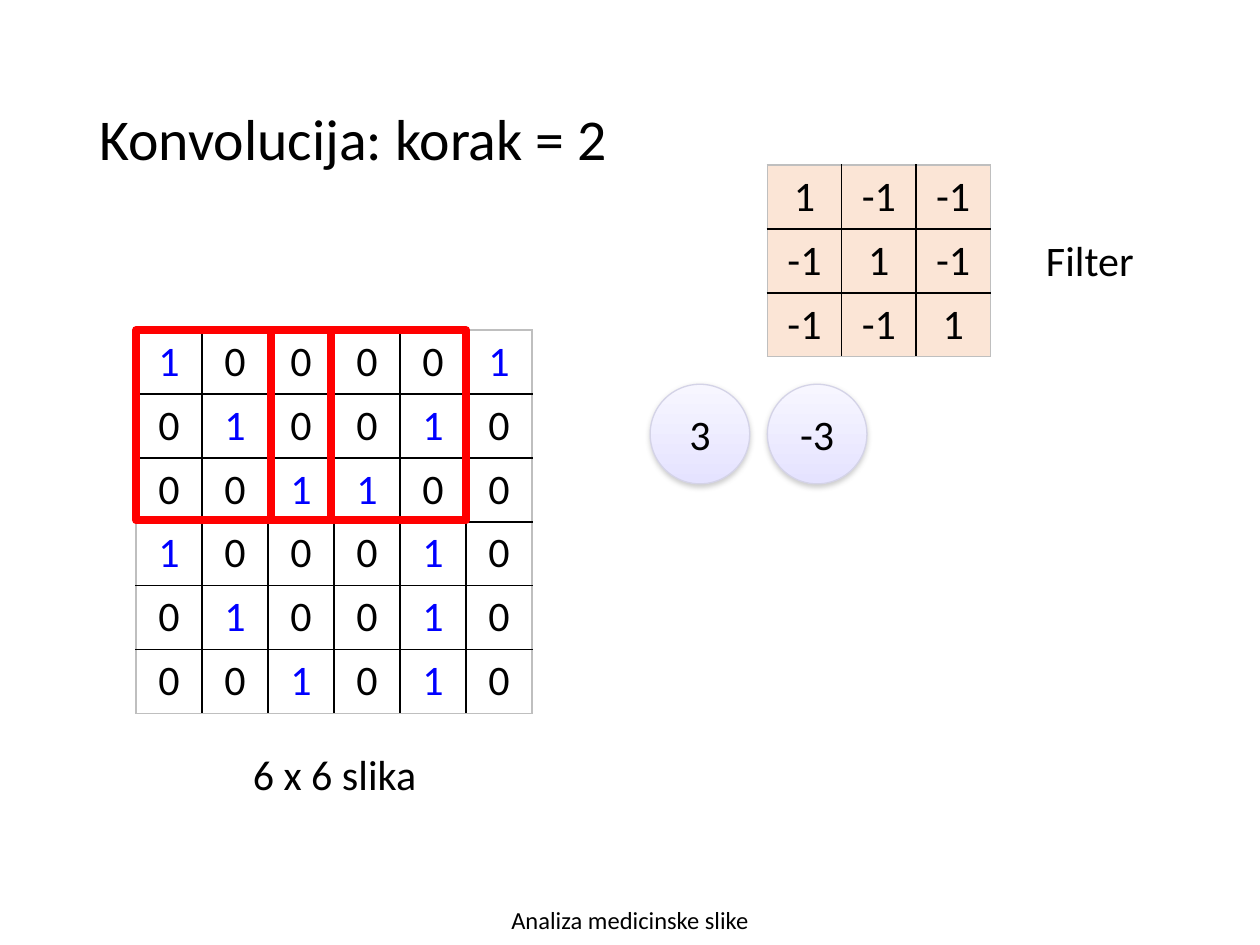
from dataclasses import dataclass
from typing import Optional

import pptx
import pptx.dml.color
import pptx.enum.shapes
import pptx.enum.text
import pptx.oxml
import pptx.oxml.ns
import pptx.util

Inches = pptx.util.Inches
Pt = pptx.util.Pt
ALIGN = pptx.enum.text.PP_ALIGN
ANCHOR = pptx.enum.text.MSO_ANCHOR
SHAPES = pptx.enum.shapes.MSO_SHAPE

COLORS = {
    "text": "000000",
    "one": "0000FF",
    "filter": "FBE5D6",
    "inner_border": "000000",
    "outer_border": "BFBFBF",
    "frame": "FF0000",
    "result_top": "F7F6FF",
    "result_bottom": "E5E3FF",
    "result_line": "D4D3E7",
    "shadow": "808080",
}
IMAGE_LEFT, IMAGE_TOP, IMAGE_COLUMN = 1.08, 2.62, 0.524
ROW_HEIGHT = 0.5
FRAME_STEP = 1.07


@dataclass
class Grid:
    left: float
    top: float
    column_width: float
    rows: list[list[int]]
    one_color: str
    fill: Optional[str] = None


@dataclass
class Label:
    text: str
    left: float
    top: float
    width: float
    height: float
    size: int = 24


@dataclass
class Result:
    text: str
    left: float
    top: float = 3.05
    diameter: float = 0.79


GRIDS = [
    Grid(IMAGE_LEFT, IMAGE_TOP, IMAGE_COLUMN, [
        [1, 0, 0, 0, 0, 1],
        [0, 1, 0, 0, 1, 0],
        [0, 0, 1, 1, 0, 0],
        [1, 0, 0, 0, 1, 0],
        [0, 1, 0, 0, 1, 0],
        [0, 0, 1, 0, 1, 0],
    ], "one"),
    Grid(6.09, 1.31, 0.59, [
        [1, -1, -1],
        [-1, 1, -1],
        [-1, -1, 1],
    ], "text", "filter"),
]
LABELS = [
    Label("6 x 6 slika", 1.37, 5.89, 2.57, 0.5),
    Label("Filter", 7.86, 1.81, 1.58, 0.51),
    Label("Analiza medicinske slike", 3.31, 7.13, 3.38, 0.4, 14),
]
RESULTS = [Result("3", 5.16), Result("-3", 6.09)]


def rgb(name: str) -> pptx.dml.color.RGBColor:
    return pptx.dml.color.RGBColor.from_string(COLORS[name])


def write(text_frame, text: str, size: int = 24, color: str = "text", alignment=ALIGN.CENTER) -> None:
    text_frame.text = text
    paragraph = text_frame.paragraphs[0]
    paragraph.alignment = alignment
    for attribute, value in {"name": "Calibri", "size": Pt(size), "bold": False}.items():
        setattr(paragraph.font, attribute, value)
    paragraph.font.color.rgb = rgb(color)


def add_borders(cell, outer_sides: dict[str, bool]) -> None:
    properties = cell._tc.get_or_add_tcPr()
    for position, (side, is_outer) in enumerate(outer_sides.items()):
        color = COLORS["outer_border" if is_outer else "inner_border"]
        properties.insert(position, pptx.oxml.parse_xml(
            f'<a:ln{side} {pptx.oxml.ns.nsdecls("a")} w="12700"><a:solidFill>'
            f'<a:srgbClr val="{color}"/></a:solidFill></a:ln{side}>'))


def add_grid(slide, grid: Grid) -> None:
    row_count, column_count = len(grid.rows), len(grid.rows[0])
    table = slide.shapes.add_table(
        row_count, column_count, Inches(grid.left), Inches(grid.top),
        Inches(column_count * grid.column_width), Inches(row_count * ROW_HEIGHT)).table
    table.first_row = table.horz_banding = False
    for column in table.columns:
        column.width = Inches(grid.column_width)
    for row_index, row in enumerate(grid.rows):
        for column_index, value in enumerate(row):
            cell = table.cell(row_index, column_index)
            write(cell.text_frame, str(value), color=grid.one_color if value == 1 else "text")
            if grid.fill:
                cell.fill.solid()
                cell.fill.fore_color.rgb = rgb(grid.fill)
            else:
                cell.fill.background()
            add_borders(cell, {
                "L": column_index == 0,
                "R": column_index == column_count - 1,
                "T": row_index == 0,
                "B": row_index == row_count - 1,
            })


def add_label(slide, label: Label) -> None:
    shape = slide.shapes.add_textbox(
        Inches(label.left), Inches(label.top), Inches(label.width), Inches(label.height))
    shape.text_frame.word_wrap = True
    write(shape.text_frame, label.text, label.size)


def add_frame(slide, left: float) -> None:
    frame = slide.shapes.add_shape(
        SHAPES.RECTANGLE, Inches(left), Inches(IMAGE_TOP), Inches(1.55), Inches(1.51))
    frame.shadow.inherit = False
    frame.fill.background()
    frame.line.color.rgb = rgb("frame")
    frame.line.width = Pt(4.5)


def add_result(slide, result: Result) -> None:
    circle = slide.shapes.add_shape(
        SHAPES.OVAL, Inches(result.left), Inches(result.top),
        Inches(result.diameter), Inches(result.diameter))
    circle.fill.gradient()
    circle.fill.gradient_angle = 270
    for stop, color in zip(circle.fill.gradient_stops, ("result_top", "result_bottom")):
        stop.color.rgb = rgb(color)
    circle.line.color.rgb = rgb("result_line")
    circle.line.width = Pt(0.75)
    circle.shadow.inherit = False
    effects = circle._element.spPr.find(pptx.oxml.ns.qn("a:effectLst"))
    effects.append(pptx.oxml.parse_xml(
        f'<a:outerShdw {pptx.oxml.ns.nsdecls("a")} blurRad="{Pt(3.1)}" dist="{Pt(1.6)}" '
        f'dir="5400000" rotWithShape="0"><a:srgbClr val="{COLORS["shadow"]}">'
        '<a:alpha val="38000"/></a:srgbClr></a:outerShdw>'))
    circle.text_frame.vertical_anchor = ANCHOR.MIDDLE
    write(circle.text_frame, result.text)


def add_title(slide, text: str) -> None:
    title = slide.shapes.title
    position = {"left": 0.69, "top": 0.4, "width": 8.62, "height": 1.45}
    for attribute, value in position.items():
        setattr(title, attribute, Inches(value))
    title.text_frame.vertical_anchor = ANCHOR.MIDDLE
    write(title.text_frame, text, 33, alignment=ALIGN.LEFT)
    title.text_frame.paragraphs[0].line_spacing = 0.9


def main() -> None:
    presentation = pptx.Presentation()
    presentation.slide_width = Inches(10)
    presentation.slide_height = Inches(7.5)
    slide = presentation.slides.add_slide(presentation.slide_layouts[5])
    add_title(slide, "Konvolucija: korak = 2")
    for grid in GRIDS:
        add_grid(slide, grid)
    for label in LABELS:
        add_label(slide, label)
    for result in RESULTS:
        add_result(slide, result)
    for step in range(2):
        add_frame(slide, IMAGE_LEFT + step * FRAME_STEP)
    presentation.save("out.pptx")


if __name__ == "__main__":
    main()
